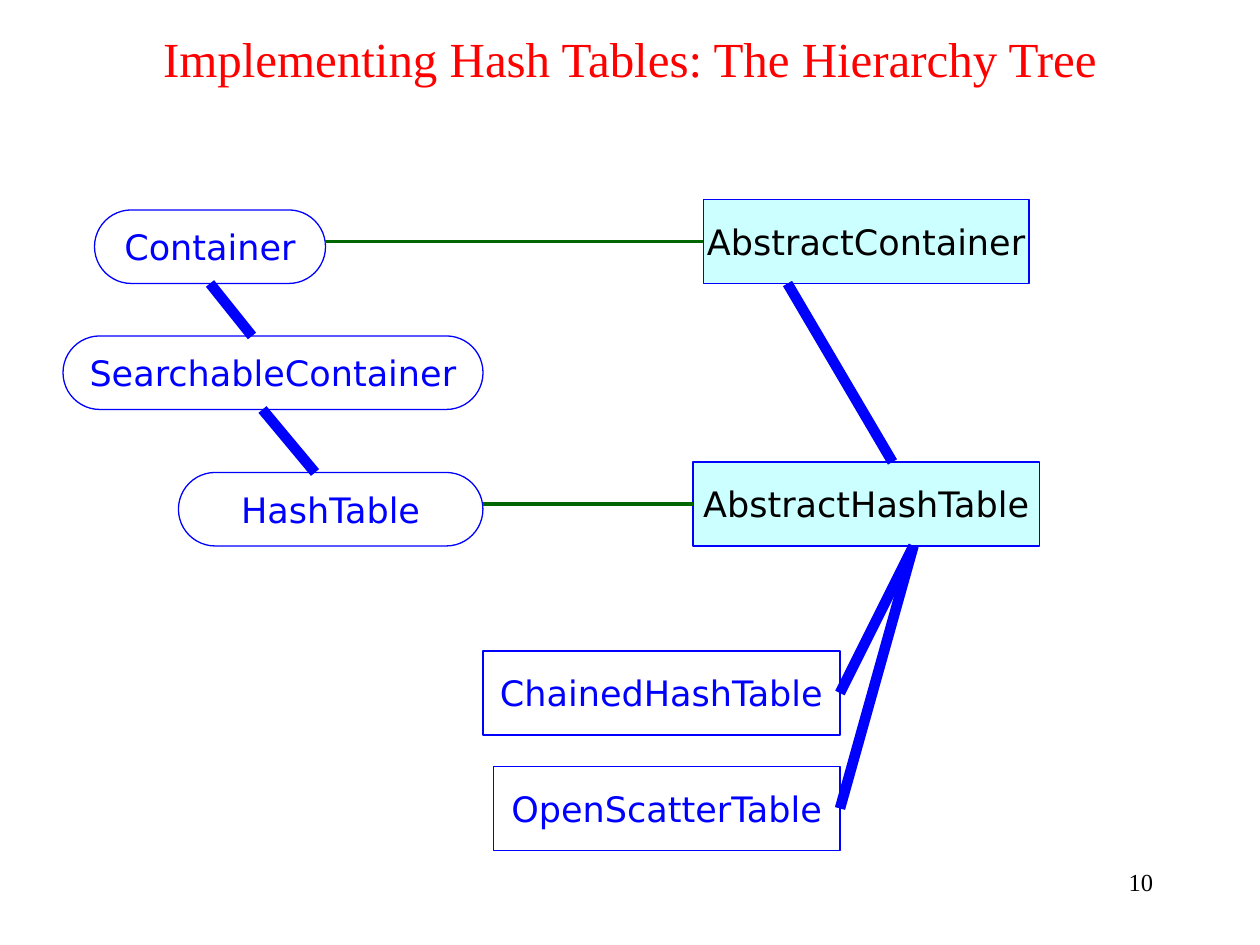
from dataclasses import dataclass
from typing import Optional

from lxml import etree
from pptx import Presentation
from pptx.dml.color import RGBColor
from pptx.enum import shapes as kinds, text as txt
from pptx.oxml import ns
from pptx.util import Pt

RED = RGBColor(0xFF, 0x00, 0x00)
BLUE = RGBColor(0x00, 0x00, 0xFF)
GREEN = RGBColor(0x00, 0x66, 0x00)
BLACK = RGBColor(0x00, 0x00, 0x00)
PALE_CYAN = RGBColor(0xCC, 0xFF, 0xFF)

SERIF = "Times New Roman"
SANS = "DejaVu Sans"

INTERFACE_HEIGHT, CLASS_HEIGHT = 42, 48
LEFT_SIDE, BOTTOM_SIDE, RIGHT_SIDE = 1, 2, 3


@dataclass
class TypeNode:
    name: str
    left: float
    top: float
    width: float
    interface: bool = False
    abstract: bool = False


@dataclass
class Link:
    """A line between two points, joined to a node's side where one is named."""
    start: tuple[float, float]
    end: tuple[float, float]
    color: RGBColor = BLUE
    weight: float = 6
    begin_at: Optional[tuple[str, int]] = None
    end_at: Optional[tuple[str, int]] = None


NODES = [
    TypeNode("Container", 54, 120, 132, interface=True),
    TypeNode("SearchableContainer", 36, 192, 240, interface=True),
    TypeNode("HashTable", 102, 270, 174, interface=True),
    TypeNode("AbstractContainer", 402, 114, 186, abstract=True),
    TypeNode("AbstractHashTable", 396, 264, 198, abstract=True),
    TypeNode("ChainedHashTable", 276, 372, 204),
    TypeNode("OpenScatterTable", 282, 438, 198),
]

LINKS = [
    Link((186, 138), (402, 138), GREEN, 2.25, end_at=("AbstractContainer", LEFT_SIDE)),
    Link((276, 288), (396, 288), GREEN, 2.25, end_at=("AbstractHashTable", LEFT_SIDE)),
    Link((120, 162), (144, 192), begin_at=("Container", BOTTOM_SIDE)),
    Link((150, 234), (180, 270)),
    Link((450, 162), (510, 264)),
    Link((522, 312), (480, 396), end_at=("ChainedHashTable", RIGHT_SIDE)),
    Link((522, 312), (480, 462), end_at=("OpenScatterTable", RIGHT_SIDE)),
]


def write(frame, content: str, font: str, size: float, color: RGBColor,
          align=txt.PP_ALIGN.CENTER, anchor=txt.MSO_ANCHOR.MIDDLE, wrap: bool = True) -> None:
    frame.word_wrap = wrap
    frame.vertical_anchor = anchor
    paragraph = frame.paragraphs[0]
    paragraph.alignment = align
    run = paragraph.add_run()
    run.text = content
    run.font.name = font
    run.font.size = Pt(size)
    run.font.color.rgb = color


def draw_node(slide, node: TypeNode):
    """Draw interfaces as pills and classes as boxes, filled when abstract."""
    kind = kinds.MSO_SHAPE.ROUNDED_RECTANGLE if node.interface else kinds.MSO_SHAPE.RECTANGLE
    height = INTERFACE_HEIGHT if node.interface else CLASS_HEIGHT
    box = slide.shapes.add_shape(kind, Pt(node.left), Pt(node.top), Pt(node.width), Pt(height))
    box.shadow.inherit = False
    if node.interface:
        box.adjustments[0] = 0.5
    if node.abstract:
        box.fill.solid()
        box.fill.fore_color.rgb = PALE_CYAN
    else:
        box.fill.background()
    box.line.color.rgb = BLUE
    box.line.width = Pt(0.75)
    write(box.text_frame, node.name, SANS, 20, BLACK if node.abstract else BLUE, wrap=False)
    return box


def draw_link(slide, link: Link, boxes: dict) -> None:
    line = slide.shapes.add_connector(
        kinds.MSO_CONNECTOR.STRAIGHT, *(Pt(value) for value in link.start + link.end))
    line.line.color.rgb = link.color
    line.line.width = Pt(link.weight)
    etree.SubElement(line._element.spPr, ns.qn("a:effectLst"))
    if link.begin_at:
        name, side = link.begin_at
        line.begin_connect(boxes[name], side)
    if link.end_at:
        name, side = link.end_at
        line.end_connect(boxes[name], side)


def main() -> None:
    deck = Presentation()
    deck.slide_width, deck.slide_height = Pt(720), Pt(540)
    slide = deck.slides.add_slide(deck.slide_layouts[6])

    title = slide.shapes.add_textbox(Pt(54), Pt(12), Pt(612), Pt(42))
    write(title.text_frame, "Implementing Hash Tables: The Hierarchy Tree", SERIF, 28, RED)

    boxes = {node.name: draw_node(slide, node) for node in NODES}
    for link in LINKS:
        draw_link(slide, link, boxes)

    page_number = slide.shapes.add_textbox(Pt(516), Pt(492), Pt(150), Pt(36))
    write(page_number.text_frame, "10", SERIF, 14, BLACK,
          align=txt.PP_ALIGN.RIGHT, anchor=txt.MSO_ANCHOR.TOP)

    deck.save("out.pptx")


if __name__ == "__main__":
    main()
